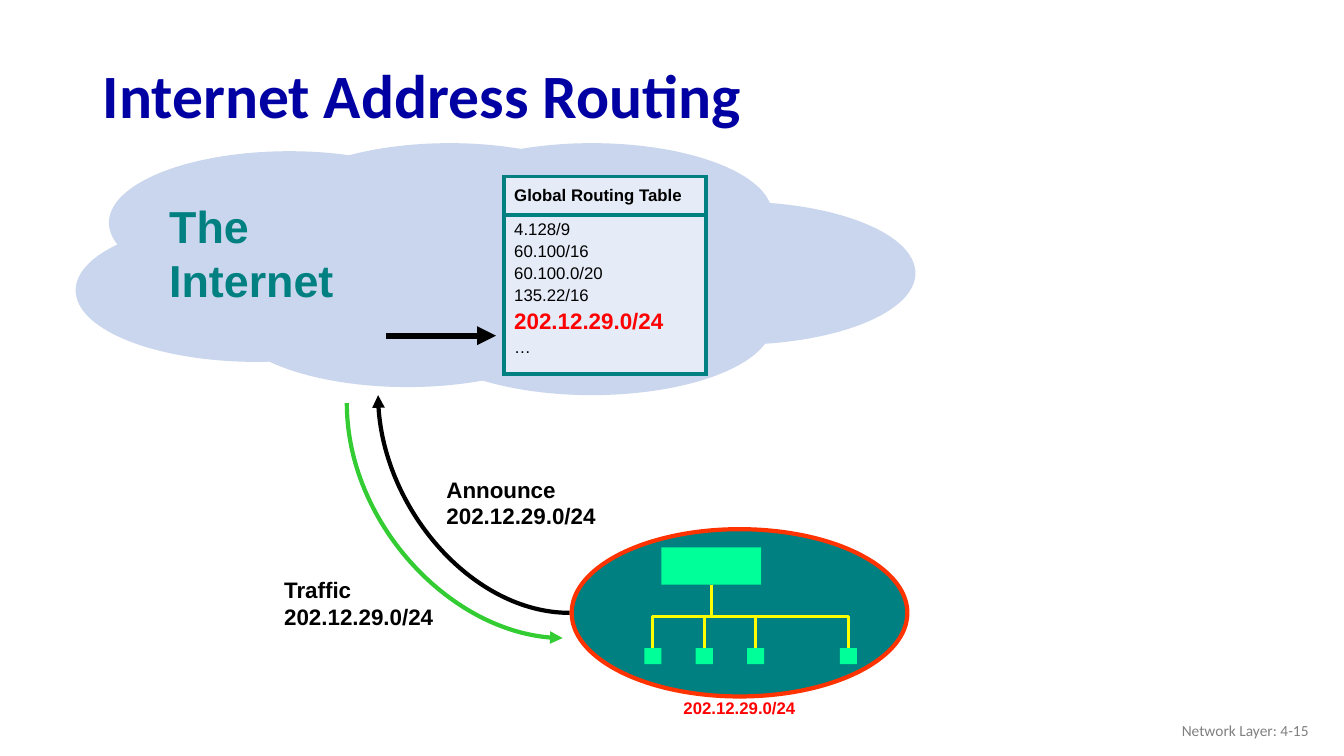
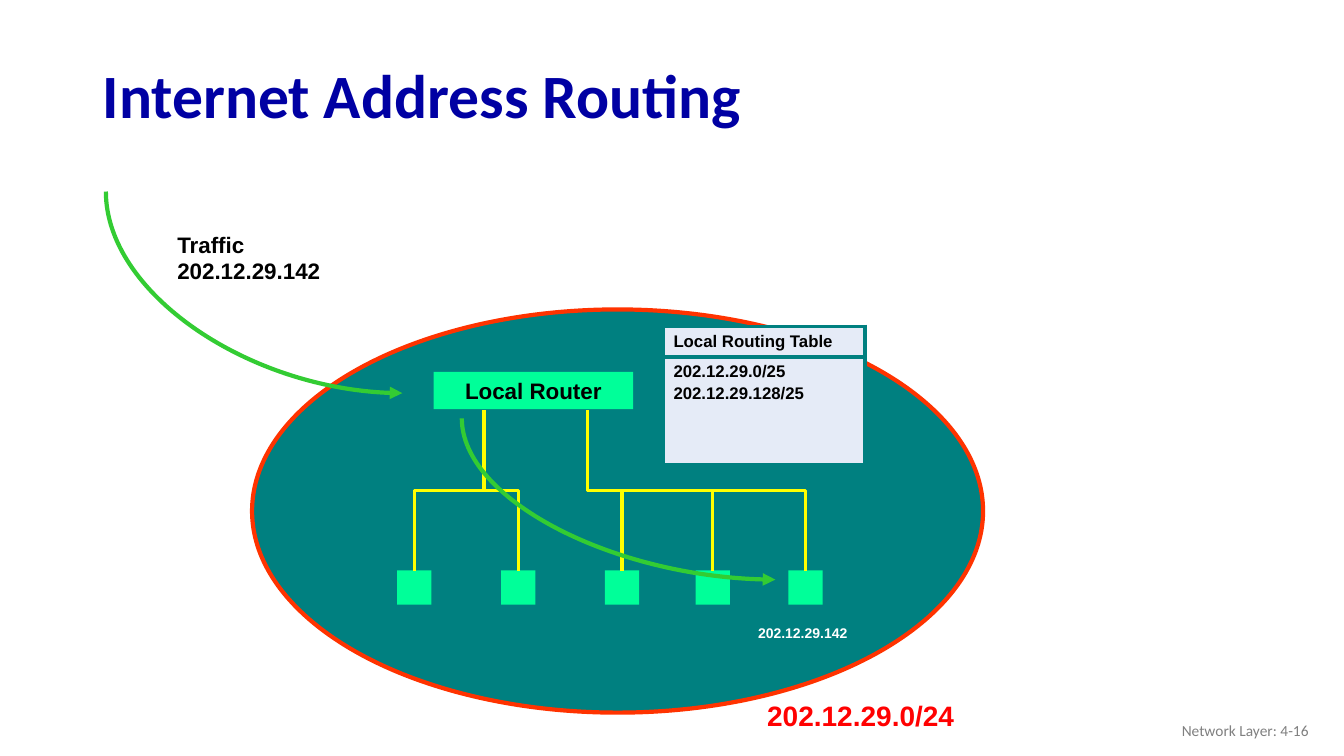
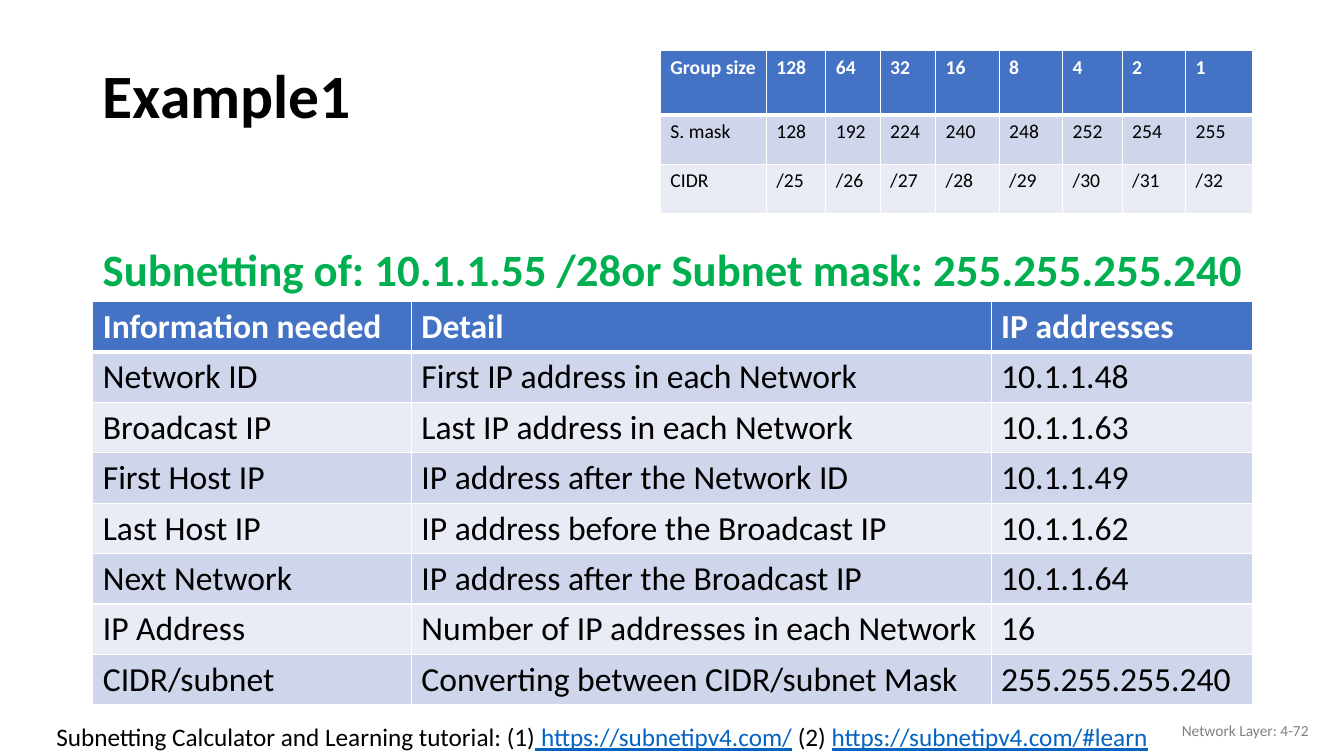
from lxml import etree
from pptx import Presentation
from pptx.dml.color import RGBColor
from pptx.enum.shapes import MSO_CONNECTOR, MSO_SHAPE
from pptx.enum.text import MSO_ANCHOR, PP_ALIGN
from pptx.oxml.ns import qn
from pptx.util import Pt

PX = 9144  # 100 px to the inch
BLACK = RGBColor(0x00, 0x00, 0x00)
WHITE = RGBColor(0xFF, 0xFF, 0xFF)
NAVY = RGBColor(0x00, 0x00, 0xA3)
GRAY = RGBColor(0x80, 0x80, 0x80)
TEAL = RGBColor(0x00, 0x80, 0x80)
CLOUD = RGBColor(0xC9, 0xD6, 0xED)
PALE = RGBColor(0xE5, 0xEB, 0xF7)
RED = RGBColor(0xFF, 0x01, 0x01)
ORANGE = RGBColor(0xFF, 0x33, 0x00)
MINT = RGBColor(0x00, 0xFF, 0x99)
YELLOW = RGBColor(0xFF, 0xFF, 0x00)
GREEN = RGBColor(0x33, 0xCC, 0x33)
HEADING_GREEN = RGBColor(0x00, 0xB0, 0x50)
HEADER_BLUE = RGBColor(0x44, 0x72, 0xC4)
BAND_DARK = RGBColor(0xCF, 0xD5, 0xEA)
BAND_LIGHT = RGBColor(0xE9, 0xEB, 0xF5)
LINK_BLUE = RGBColor(0x05, 0x63, 0xC1)

# Content
ROUTING_TITLE = "Internet Address Routing"
NETWORK = "202.12.29.0/24"
HOST = "202.12.29.142"
GLOBAL_ROUTES = ["4.128/9", "60.100/16", "60.100.0/20", "135.22/16", NETWORK, "…"]
LOCAL_ROUTES = ["202.12.29.0/25", "202.12.29.128/25"]
CLOUD_PUFFS = [(75, 217), (225, 242), (267, 142), (108, 150),
               (408, 142), (408, 250), (550, 200)]
SMALL_HOSTS = [639, 690, 741, 833]
LARGE_HOSTS = [394, 497, 600, 690, 782]
GROUP_SIZES = [
    ("Group size", "128", "64", "32", "16", "8", "4", "2", "1"),
    ("S. mask", "128", "192", "224", "240", "248", "252", "254", "255"),
    ("CIDR", "/25", "/26", "/27", "/28", "/29", "/30", "/31", "/32"),
]
SUBNET_HEADING = "Subnetting of: 10.1.1.55 /28or Subnet mask: 255.255.255.240"
SUBNET_FACTS = [
    ("Information needed", "Detail", "IP addresses"),
    ("Network ID", "First IP address in each Network", "10.1.1.48"),
    ("Broadcast IP", "Last IP address in each Network", "10.1.1.63"),
    ("First Host IP", "IP address after the Network ID", "10.1.1.49"),
    ("Last Host IP", "IP address before the Broadcast IP", "10.1.1.62"),
    ("Next Network", "IP address after the Broadcast IP", "10.1.1.64"),
    ("IP Address", "Number of IP addresses in each Network", "16"),
    ("CIDR/subnet", "Converting between CIDR/subnet Mask", "255.255.255.240"),
]
TUTORIAL = [
    ("Subnetting Calculator and Learning tutorial: (1)", False),
    (" https://subnetipv4.com/", True),
    (" (2) ", False),
    ("https://subnetipv4.com/#learn", True),
]


def emu(*lengths):
    return [round(length * PX) for length in lengths]


# Text
def style(para, size, color=BLACK, bold=False, name="Arial"):
    font = para.font
    font.name, font.size, font.bold = name, Pt(size), bold
    font.color.rgb = color


def add_text(page, place, lines, size, color=BLACK, bold=True, name="Arial",
             anchor=MSO_ANCHOR.TOP, align=PP_ALIGN.LEFT):
    frame = page.shapes.add_textbox(*emu(*place)).text_frame
    frame.word_wrap = True
    frame.vertical_anchor = anchor
    for index, line in enumerate(lines):
        para = frame.add_paragraph() if index else frame.paragraphs[0]
        para.text = line
        para.alignment = align
        style(para, size, color, bold, name)
    return frame


def new_page(deck, title, number, color=NAVY):
    page = deck.slides.add_slide(deck.slide_layouts[6])
    frame = add_text(page, (92, 49, 1150, 98), [title], 44, color,
                     name="Calibri", anchor=MSO_ANCHOR.MIDDLE)
    frame.paragraphs[0].line_spacing = 0.9
    add_text(page, (1008, 705, 300, 40), [f"Network Layer: {number}"], 11, GRAY,
             False, "Calibri", MSO_ANCHOR.MIDDLE, PP_ALIGN.RIGHT)
    return page


# Shapes
def add_box(page, kind, place, fill, outline=None):
    box = page.shapes.add_shape(kind, *emu(*place))
    box.shadow.inherit = False
    box.fill.solid()
    box.fill.fore_color.rgb = fill
    if outline is None:
        box.line.fill.background()
    else:
        box.line.color.rgb = outline
        box.line.width = Pt(3)
    return box


# Connectors
def add_line(page, kind, place, color, width, arrow=None):
    left, top, wide, high = place
    line = page.shapes.add_connector(kind, *emu(left, top, left + wide, top + high))
    line.line.color.rgb = color
    line.line.width = Pt(width)
    properties = line._element.spPr
    if arrow:
        etree.SubElement(properties.find(qn("a:ln")), qn(f"a:{arrow}"), type="triangle")
    etree.SubElement(properties, qn("a:effectLst"))
    return properties


def add_arc(page, place, color, arrow):
    """Quarter curve from the lower right corner to the upper left one."""
    properties = add_line(page, MSO_CONNECTOR.CURVE, place, color, 3, arrow)
    properties.find(qn("a:prstGeom")).set("prst", "curvedConnector2")
    properties.find(qn("a:xfrm")).set("rot", "10800000")


def add_tree(page, trunk, top, bottom, branches):
    """Elbow lines that run down from one trunk to every branch."""
    high = bottom - top
    for branch in branches:
        wide = abs(branch - trunk)
        center_x, center_y = (trunk + branch) / 2, (top + bottom) / 2
        place = (center_x - high / 2, center_y - wide / 2, high, wide)
        transform = add_line(page, MSO_CONNECTOR.ELBOW, place, YELLOW, 2.25).find(qn("a:xfrm"))
        if branch < trunk:
            transform.set("rot", "5400000")
        else:
            transform.set("rot", "16200000")
            transform.set("flipH", "1")


def add_hosts(page, lefts, top, wide, high):
    for left in lefts:
        add_box(page, MSO_SHAPE.RECTANGLE, (left, top, wide, high), MINT)


# Tables
def set_borders(cell, color, left, right, top, bottom):
    properties = cell._tc.get_or_add_tcPr()
    widths = {"lnL": left, "lnR": right, "lnT": top, "lnB": bottom}
    for index, (edge, width) in enumerate(widths.items()):
        line = etree.Element(qn(f"a:{edge}"), w=str(Pt(width)))
        fill = etree.SubElement(line, qn("a:solidFill"))
        etree.SubElement(fill, qn("a:srgbClr"), val=str(color))
        properties.insert(index, line)


def new_table(page, left, top, columns, rows):
    place = emu(left, top, sum(columns), sum(rows))
    table = page.shapes.add_table(len(rows), len(columns), *place).table
    table.horz_banding = False
    for column, width in zip(table.columns, emu(*columns)):
        column.width = width
    for row, height in zip(table.rows, emu(*rows)):
        row.height = height
    return table


def fill_cell(cell, color):
    cell.fill.solid()
    cell.fill.fore_color.rgb = color


def add_routing_table(page, left, top, rows, title, routes, bold):
    table = new_table(page, left, top, [200], rows)
    for row, lines in enumerate([[title], routes]):
        cell = table.cell(row, 0)
        fill_cell(cell, PALE)
        set_borders(cell, TEAL, 3, 3, 3, 3)
        for index, line in enumerate(lines):
            para = cell.text_frame.add_paragraph() if index else cell.text_frame.paragraphs[0]
            para.text = line
            marked = line == NETWORK
            size = 16 if marked else 12
            if index:
                para.space_before = Pt(size * 0.2)
            style(para, size, RED if marked else BLACK, bold or marked or row == 0)
    table.cell(0, 0).vertical_anchor = MSO_ANCHOR.MIDDLE


def add_banded_table(page, left, top, columns, rows, content, size):
    table = new_table(page, left, top, columns, rows)
    for row, values in enumerate(content):
        header = row == 0
        fill = HEADER_BLUE if header else BAND_DARK if row % 2 else BAND_LIGHT
        for column, value in enumerate(values):
            cell = table.cell(row, column)
            cell.text = value
            fill_cell(cell, fill)
            set_borders(cell, WHITE, 1, 1, 3 if row == 1 else 1, 3 if header else 1)
            style(cell.text_frame.paragraphs[0], size, WHITE if header else BLACK,
                  header, "Calibri")


# Slides
def build_global_routing(deck):
    page = new_page(deck, ROUTING_TITLE, "4-15")
    add_arc(page, (344, 400, 214, 233), GREEN, "headEnd")
    add_text(page, (272, 567, 183, 64), ["Traffic", NETWORK], 16)
    for left, top in CLOUD_PUFFS:
        add_box(page, MSO_SHAPE.OVAL, (left, top, 358, 142), CLOUD)
    add_text(page, (158, 192, 270, 63), ["The Internet"], 32, TEAL)
    add_routing_table(page, 500, 175, [38, 158], "Global Routing Table",
                      GLOBAL_ROUTES, False)
    add_text(page, (433, 467, 173, 64), ["Announce", NETWORK], 16)
    add_arc(page, (375, 392, 190, 216), BLACK, "tailEnd")
    add_line(page, MSO_CONNECTOR.STRAIGHT, (383, 333, 109, 0), BLACK, 4.5, "tailEnd")
    # Local network
    add_box(page, MSO_SHAPE.OVAL, (567, 525, 333, 166), TEAL, ORANGE)
    add_box(page, MSO_SHAPE.RECTANGLE, (656, 543, 99, 37), MINT)
    add_hosts(page, SMALL_HOSTS, 643, 17, 16)
    add_tree(page, 706, 580, 643, [left + 8.5 for left in SMALL_HOSTS])
    add_text(page, (668, 687, 131, 30), [NETWORK], 12, RED)


def build_local_routing(deck):
    page = new_page(deck, ROUTING_TITLE, "4-16")
    add_box(page, MSO_SHAPE.OVAL, (250, 307, 725, 400), TEAL, ORANGE)
    add_arc(page, (105, 190, 294, 200), GREEN, "headEnd")
    add_text(page, (166, 224, 251, 64), ["Traffic", HOST], 16)
    add_routing_table(page, 658, 324, [30, 107], "Local Routing Table",
                      LOCAL_ROUTES, True)
    router = add_box(page, MSO_SHAPE.RECTANGLE, (430, 369, 198, 37), MINT)
    router.text_frame.text = "Local Router"
    para = router.text_frame.paragraphs[0]
    para.alignment = PP_ALIGN.CENTER
    style(para, 16, BLACK, True)
    # Two subnets below the router
    add_hosts(page, LARGE_HOSTS, 566, 34, 34)
    centers = [left + 17 for left in LARGE_HOSTS]
    add_tree(page, 480, 407, 566, centers[:2])
    add_tree(page, 583, 407, 566, centers[2:])
    add_text(page, (742, 615, 112, 30), [HOST], 10, WHITE)
    add_arc(page, (458, 415, 311, 160), GREEN, "headEnd")
    add_text(page, (751, 688, 211, 44), [NETWORK], 20, RED)


def build_example(deck):
    page = new_page(deck, "Example1", "4-72", BLACK)
    add_banded_table(page, 92, 299, [316, 575, 259], [50] * len(SUBNET_FACTS),
                     SUBNET_FACTS, 24)
    add_banded_table(page, 655, 50, [105, 59, 54, 55, 63, 63, 59, 63, 66],
                     [64, 49, 49], GROUP_SIZES, 14)
    add_text(page, (92, 235, 1173, 64), [SUBNET_HEADING], 32, HEADING_GREEN,
             name="Calibri")
    frame = add_text(page, (46, 711, 1148, 40), [""], 18, bold=False, name="Calibri")
    for words, is_address in TUTORIAL:
        span = frame.paragraphs[0].add_run()
        span.text = words
        if is_address:
            span.font.color.rgb = LINK_BLUE
            span.font.underline = True


def main():
    deck = Presentation()
    deck.slide_width, deck.slide_height = emu(1333, 750)
    build_global_routing(deck)
    build_local_routing(deck)
    build_example(deck)
    deck.save("out.pptx")


if __name__ == "__main__":
    main()
